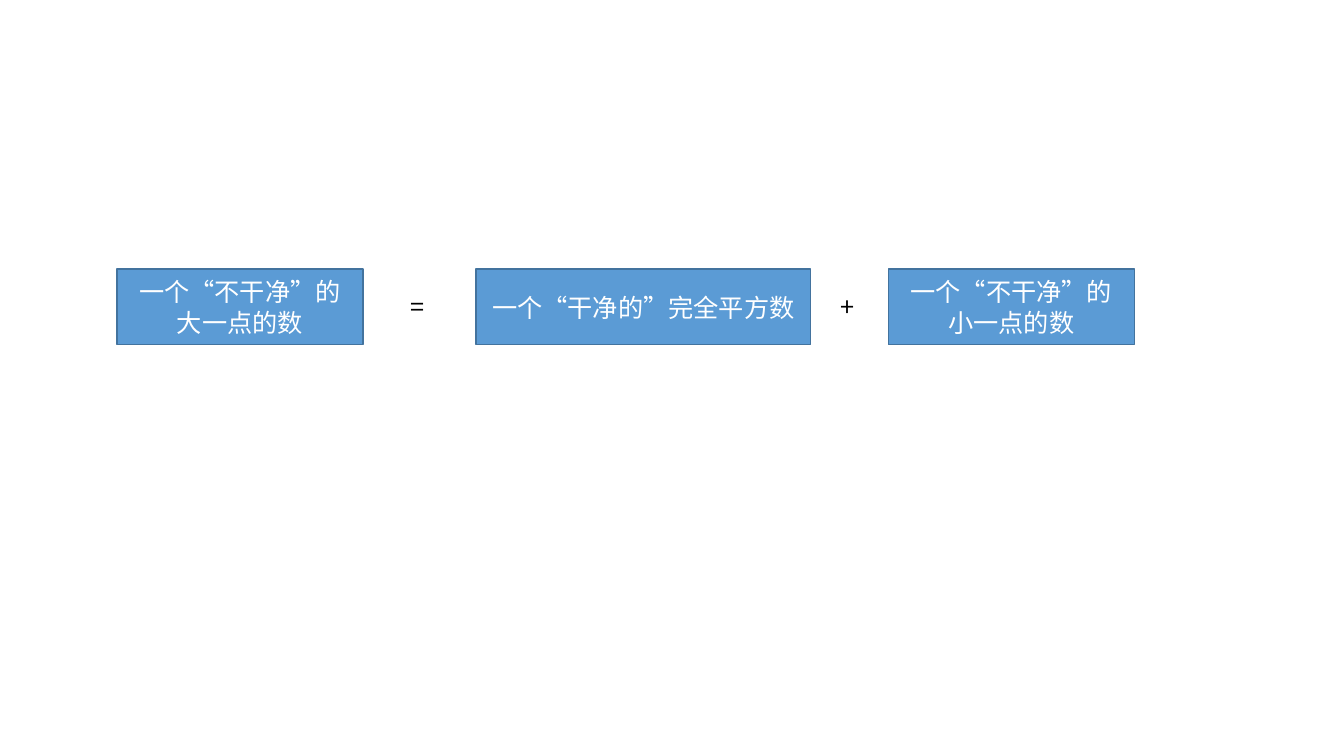
from lxml import etree
from pptx import Presentation
from pptx.dml.color import RGBColor
from pptx.enum.shapes import MSO_SHAPE
from pptx.enum.text import MSO_ANCHOR, MSO_AUTO_SIZE, PP_ALIGN
from pptx.oxml.ns import qn
from pptx.util import Inches, Pt

RECT = MSO_SHAPE.RECTANGLE
MIDDLE = MSO_ANCHOR.MIDDLE
TOP = MSO_ANCHOR.TOP
GROW = MSO_AUTO_SIZE.SHAPE_TO_FIT_TEXT
CENTER = PP_ALIGN.CENTER
LEFT = PP_ALIGN.LEFT

FONT = "Noto Sans CJK SC"
COLORS = {"fill": "5B9BD5", "edge": "43739E", "light": "FFFFFF", "dark": "000000"}

TERMS = [
    (1.16, 2.44, "一个“不干净”的大一点的数"),
    (4.72, 3.32, "一个“干净的”完全平方数"),
    (8.81, 2.44, "一个“不干净”的小一点的数"),
]
SIGNS = [(3.97, 0.37, "=", False), (8.24, 0.36, "+", True)]


def color(name):
    return RGBColor.from_string(COLORS[name])


def write(frame, text, tint="dark", size=18, align=LEFT, anchor=TOP, wrap=True):
    frame.word_wrap = wrap
    frame.vertical_anchor = anchor
    line = frame.paragraphs[0]
    line.alignment = align
    run = line.add_run()
    run.text = text
    run.font.size = Pt(size)
    run.font.color.rgb = color(tint)
    run.font.name = FONT
    props = run.font._element
    props.set("lang", "zh-CN")
    etree.SubElement(props, qn("a:ea")).set("typeface", FONT)


def add_term(slide, left, width, text):
    box = slide.shapes.add_shape(
        RECT, Inches(left), Inches(2.67), Inches(width), Inches(0.75)
    )
    box.shadow.inherit = False
    box.fill.solid()
    box.fill.fore_color.rgb = color("fill")
    box.line.color.rgb = color("edge")
    box.line.width = Pt(1)
    write(box.text_frame, text, tint="light", align=CENTER, anchor=MIDDLE)


def add_sign(slide, left, width, text, wrap):
    box = slide.shapes.add_textbox(
        Inches(left), Inches(2.84), Inches(width), Inches(0.4)
    )
    box.text_frame.auto_size = GROW
    write(box.text_frame, text, wrap=wrap)


def main():
    deck = Presentation()
    deck.slide_width = Inches(13.33)
    deck.slide_height = Inches(7.5)
    slide = deck.slides.add_slide(deck.slide_layouts[6])
    for term in TERMS:
        add_term(slide, *term)
    for sign in SIGNS:
        add_sign(slide, *sign)
    deck.save("out.pptx")


if __name__ == "__main__":
    main()
